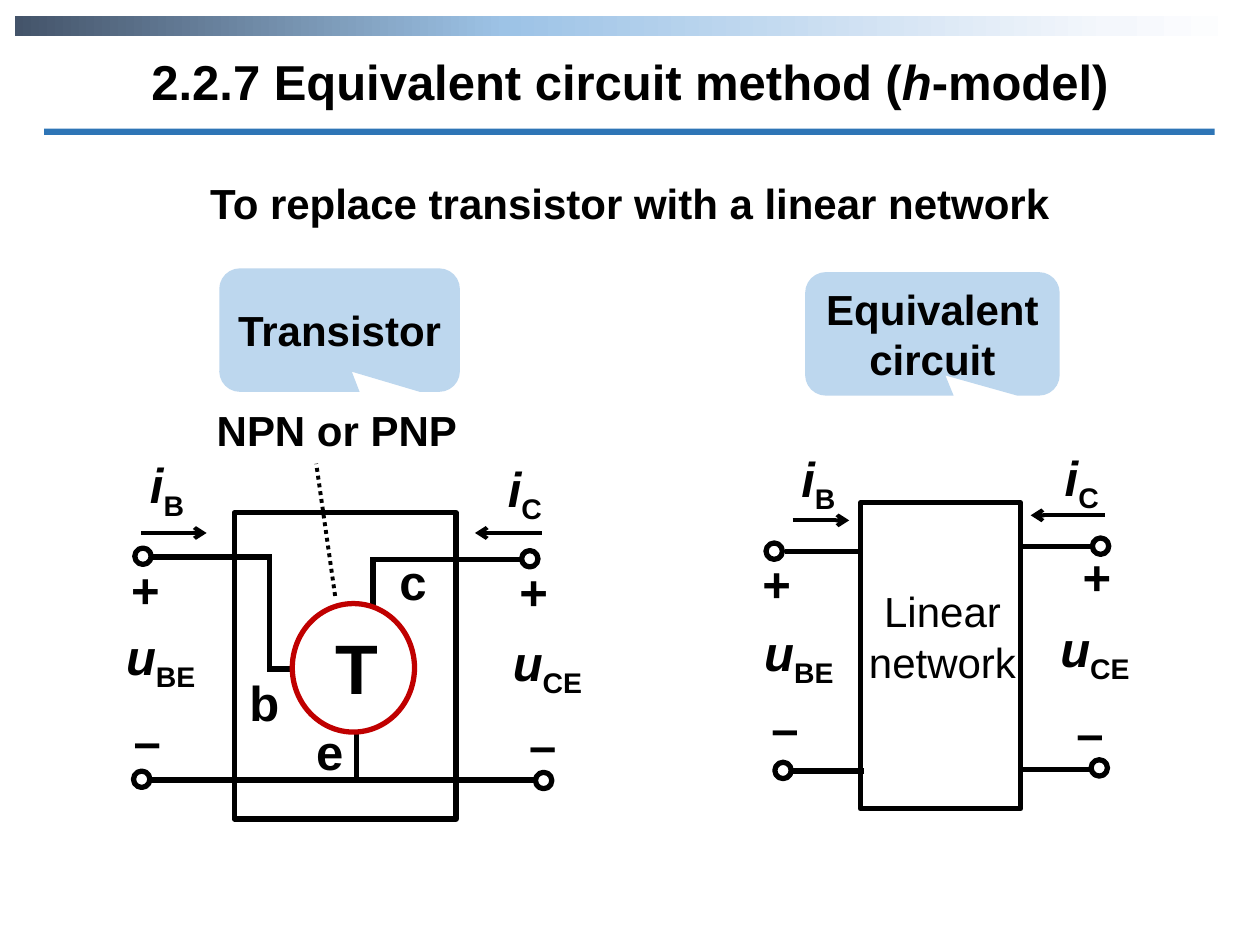
from dataclasses import dataclass

from lxml import etree
from pptx import Presentation
from pptx.dml.color import RGBColor
from pptx.enum.dml import MSO_LINE
from pptx.enum.shapes import MSO_CONNECTOR, MSO_SHAPE
from pptx.enum.text import MSO_ANCHOR, MSO_AUTO_SIZE, PP_ALIGN
from pptx.oxml.ns import qn
from pptx.util import Inches, Pt

RECTANGLE, ELLIPSE = MSO_SHAPE.RECTANGLE, MSO_SHAPE.OVAL
CALLOUT = MSO_SHAPE.ROUNDED_RECTANGULAR_CALLOUT
STRAIGHT = MSO_CONNECTOR.STRAIGHT
DOTTED = MSO_LINE.ROUND_DOT
LEFT, CENTER = PP_ALIGN.LEFT, PP_ALIGN.CENTER
TOP, MIDDLE = MSO_ANCHOR.TOP, MSO_ANCHOR.MIDDLE
NO_RESIZE = MSO_AUTO_SIZE.NONE

COLORS = {"ink": "000000", "transistor": "C00000", "callout": "BDD7EE", "rule": "2E75B6"}
BAR_STOPS = [(0, "44546A"), (40, "9DC3E6"), (89, "F4F7FC"), (100, "FFFFFF")]
FONT = "Arial"
SLIDE_WIDTH, SLIDE_HEIGHT = Inches(10), Inches(7.5)
COLUMNS, ROWS = 100, 75
TERMINAL_SIZE = 1.3


@dataclass
class Box:
    column: float
    row: float
    columns: float
    rows: float

    def place(self) -> tuple[int, int, int, int]:
        return (*point(self.column, self.row), *point(self.columns, self.rows))


@dataclass
class Run:
    text: str
    italic: bool = False
    subscript: bool = False


@dataclass
class Label:
    box: Box
    runs: list[Run]
    size: int = 28
    padded: bool = False
    wrap: bool = False
    bold: bool = True


@dataclass
class Wire:
    start: tuple[float, float]
    end: tuple[float, float]
    width: float = 3
    arrow: bool = False
    dotted: bool = False


@dataclass
class Circuit:
    frame: Box
    wires: list[Wire]
    terminals: list[tuple[float, float]]
    labels: list[Label]


def point(column: float, row: float) -> tuple[int, int]:
    return round(column * SLIDE_WIDTH / COLUMNS), round(row * SLIDE_HEIGHT / ROWS)


def rgb(name: str) -> RGBColor:
    return RGBColor.from_string(COLORS[name])


def symbol(letter: str, index: str) -> list[Run]:
    return [Run(letter, italic=True), Run(index, subscript=True)]


def write(frame, runs: list[Run], size: int, align=CENTER, bold: bool = True) -> None:
    paragraph = frame.paragraphs[0]
    paragraph.alignment = align
    for part in runs:
        run = paragraph.add_run()
        run.text = part.text
        run.font.name, run.font.size = FONT, Pt(size)
        run.font.bold, run.font.italic = bold, part.italic
        run.font.color.rgb = rgb("ink")
        if part.subscript:
            run.font._element.set("baseline", "-25000")


def draw_label(shapes, label: Label) -> None:
    frame = shapes.add_textbox(*label.box.place()).text_frame
    frame.word_wrap = label.wrap
    if not label.padded:
        frame.margin_left = frame.margin_right = frame.margin_top = frame.margin_bottom = 0
    write(frame, label.runs, label.size, CENTER if label.padded else LEFT, label.bold)


def draw_outline(shapes, kind, box: Box, color: str = "ink") -> None:
    shape = shapes.add_shape(kind, *box.place())
    shape.shadow.inherit = False
    shape.fill.background()
    shape.line.color.rgb = rgb(color)
    shape.line.width = Pt(3)


def draw_filled(shapes, kind, box: Box, color: str):
    shape = shapes.add_shape(kind, *box.place())
    shape.shadow.inherit = False
    shape.fill.solid()
    shape.fill.fore_color.rgb = rgb(color)
    shape.line.fill.background()
    return shape


def draw_wire(shapes, wire: Wire) -> None:
    connector = shapes.add_connector(STRAIGHT, *point(*wire.start), *point(*wire.end))
    connector.line.color.rgb = rgb("ink")
    connector.line.width = Pt(wire.width)
    if wire.dotted:
        connector.line.dash_style = DOTTED
    properties = connector._element.spPr
    if wire.arrow:
        etree.SubElement(properties.find(qn("a:ln")), qn("a:tailEnd"), type="arrow")
    etree.SubElement(properties, qn("a:effectLst"))


def draw_circuit(shapes, circuit: Circuit) -> None:
    draw_outline(shapes, RECTANGLE, circuit.frame)
    for wire in circuit.wires:
        draw_wire(shapes, wire)
    for column, row in circuit.terminals:
        draw_outline(shapes, ELLIPSE, Box(column, row, TERMINAL_SIZE, TERMINAL_SIZE))
    for label in circuit.labels:
        draw_label(shapes, label)


def draw_callout(shapes, box: Box, text: str) -> None:
    shape = draw_filled(shapes, CALLOUT, box, "callout")
    for index, value in enumerate((0.051, 0.337, 0.167)):
        shape.adjustments[index] = value
    shape.text_frame.word_wrap = True
    shape.text_frame.vertical_anchor = MIDDLE
    write(shape.text_frame, [Run(text)], 24)


def draw_gradient_bar(shapes, box: Box) -> None:
    bar = draw_filled(shapes, RECTANGLE, box, "rule")
    bar.fill.gradient()
    bar.fill.gradient_angle = 0
    stops = bar._element.spPr.find(qn("a:gradFill")).find(qn("a:gsLst"))
    stops.clear()
    for share, color in BAR_STOPS:
        stop = etree.SubElement(stops, qn("a:gs"), pos=str(share * 1000))
        etree.SubElement(stop, qn("a:srgbClr"), val=color)


TRANSISTOR = Circuit(
    Box(18.6, 40.7, 17.6, 24.3),
    [Wire((12, 44.2), (21.6, 44.2)), Wire((21.4, 44), (21.4, 53.2)),
     Wire((23.2, 53.1), (21.2, 53.1)), Wire((41.3, 44.4), (29.4, 44.4)),
     Wire((29.6, 44.3), (29.6, 48.2)), Wire((28.3, 58.1), (28.3, 62)),
     Wire((12, 61.9), (42.7, 61.9)), Wire((26.6, 47.3), (25.1, 36.8), 2.25, dotted=True),
     Wire((11.2, 42.3), (16.4, 42.3), 2.25, True), Wire((43, 42.3), (37.7, 42.3), 2.25, True)],
    [(41.4, 43.7), (42.5, 61.3), (10.7, 43.5), (10.6, 61.2)],
    [Label(Box(42, 56.7, 2.2, 4.7), [Run("–")]), Label(Box(10.6, 56.4, 2.2, 4.7), [Run("–")]),
     Label(Box(40.7, 50.2, 6.9, 4.6), symbol("u", "CE")),
     Label(Box(10, 49.7, 6.9, 4.6), symbol("u", "BE")),
     Label(Box(40.3, 36.4, 3.9, 4.6), symbol("i", "C")),
     Label(Box(11.9, 36.1, 3.9, 4.6), symbol("i", "B")),
     Label(Box(19.8, 53.4, 2.4, 4.7), [Run("b")]), Label(Box(25.1, 57.3, 2.2, 4.7), [Run("e")]),
     Label(Box(31.7, 43.8, 2.2, 4.7), [Run("c")]),
     Label(Box(17.2, 32.1, 21, 4), [Run("NPN or PNP")], 24, wrap=True),
     Label(Box(26.6, 49.6, 3.4, 6.7), [Run("T")], 40),
     Label(Box(40.2, 44.1, 4.3, 5.7), [Run("+")], padded=True),
     Label(Box(9.4, 43.9, 4.3, 5.7), [Run("+")], padded=True)])

LINEAR_NETWORK = Circuit(
    Box(68.3, 39.9, 12.7, 24.3),
    [Wire((62.3, 43.8), (68.3, 43.8)), Wire((62.8, 61.2), (68.6, 61.2)),
     Wire((81, 43.4), (86.6, 43.4)), Wire((81, 61.1), (86.8, 61.1)),
     Wire((62.9, 41.3), (67.4, 41.3), 2.25, True), Wire((87.7, 40.9), (81.8, 40.9), 2.25, True)],
    [(61.5, 60.5), (60.8, 43.1), (86.6, 60.3), (86.7, 42.7)],
    [Label(Box(82.4, 48.6, 9, 5.6), symbol("u", "CE"), padded=True),
     Label(Box(58.9, 48.9, 9, 5.6), symbol("u", "BE"), padded=True),
     Label(Box(82.9, 35, 5.9, 5.6), symbol("i", "C"), padded=True),
     Label(Box(62, 35.1, 5.9, 5.6), symbol("i", "B"), padded=True),
     Label(Box(84.9, 42.9, 4.3, 5.7), [Run("+")], padded=True),
     Label(Box(59.5, 43.4, 4.3, 5.7), [Run("+")], padded=True),
     Label(Box(84.4, 55.3, 4.2, 5.7), [Run("–")], padded=True),
     Label(Box(60.2, 54.9, 4.2, 5.7), [Run("–")], padded=True),
     Label(Box(67.9, 46, 13.8, 12.7), [Run("Linear network")], 24, True, True, False)])


def main() -> None:
    presentation = Presentation()
    presentation.slide_width, presentation.slide_height = SLIDE_WIDTH, SLIDE_HEIGHT
    slide = presentation.slides.add_slide(presentation.slide_layouts[5])
    shapes = slide.shapes

    title = shapes.title
    title.left, title.top, title.width, title.height = Box(1.2, 3.6, 97.6, 5.7).place()
    title.text_frame.auto_size = NO_RESIZE
    title.text_frame.vertical_anchor = TOP
    write(title.text_frame,
          [Run("2.2.7 Equivalent circuit method ("), Run("h", italic=True), Run("-model)")], 28)

    draw_gradient_bar(shapes, Box(1.2, 1.3, 97.6, 1.6))
    draw_filled(shapes, RECTANGLE, Box(3.5, 10.2, 92.9, 0.5), "rule")
    draw_label(shapes, Label(Box(10.5, 13.6, 79, 5),
                             [Run("To replace transistor with a linear network")], 24, True, True))
    draw_callout(shapes, Box(17.4, 21.3, 19.1, 9.8), "Transistor")
    draw_callout(shapes, Box(63.9, 21.6, 20.2, 9.8), "Equivalent circuit")

    transistor = shapes.add_group_shape().shapes
    draw_circuit(transistor, TRANSISTOR)
    draw_outline(transistor, ELLIPSE, Box(23.2, 47.9, 9.7, 10.2), "transistor")
    draw_circuit(shapes.add_group_shape().shapes, LINEAR_NETWORK)
    presentation.save("out.pptx")


if __name__ == "__main__":
    main()
